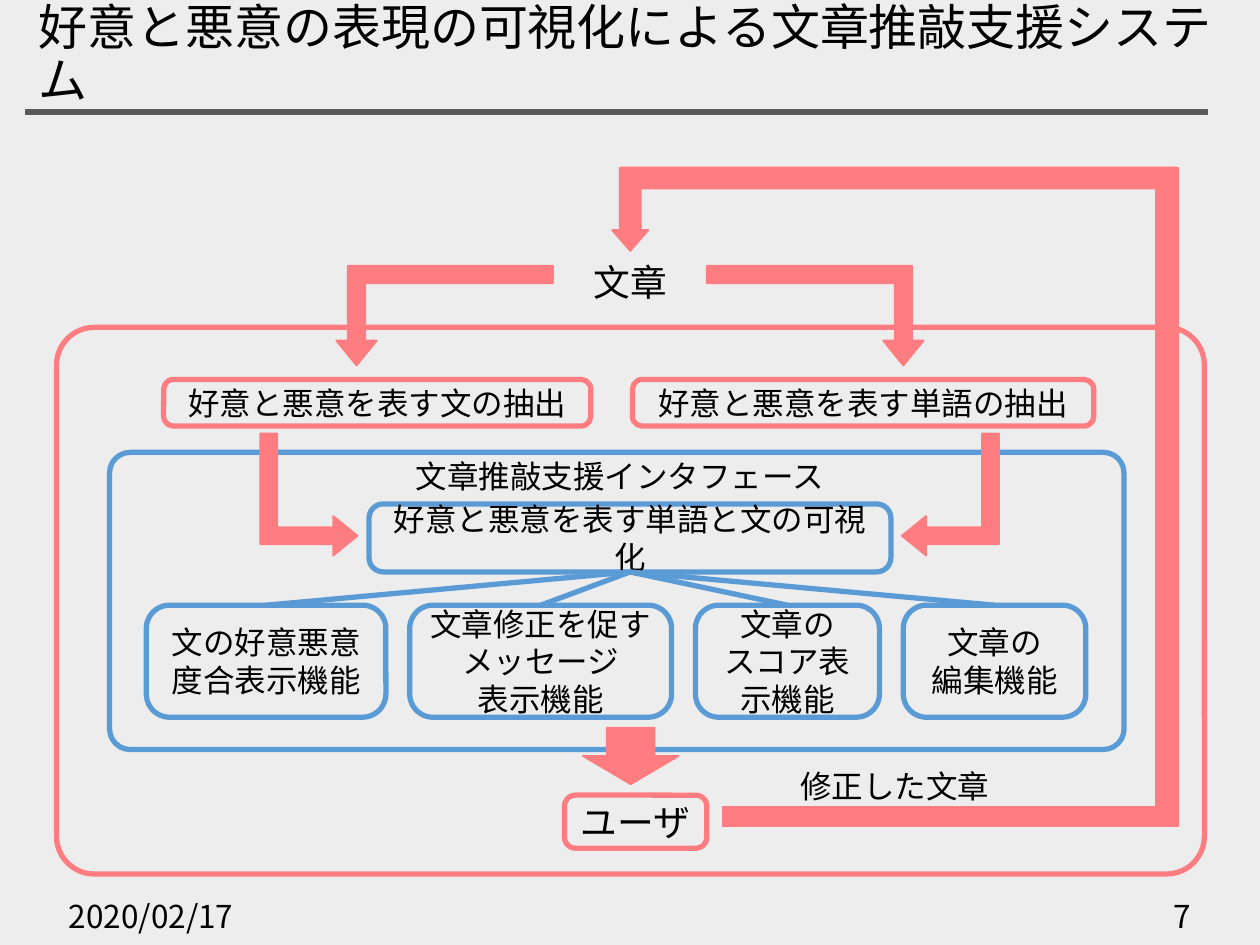
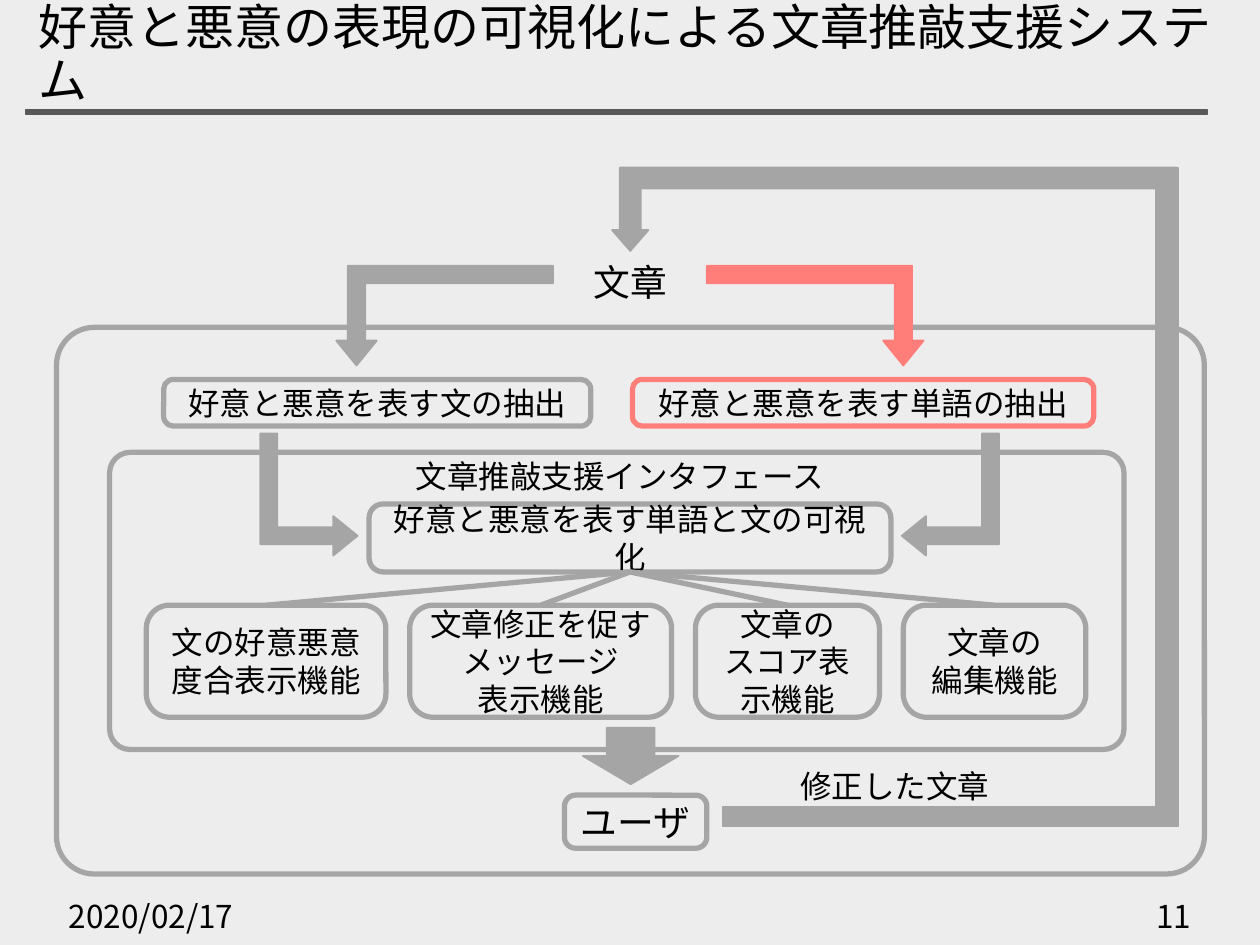
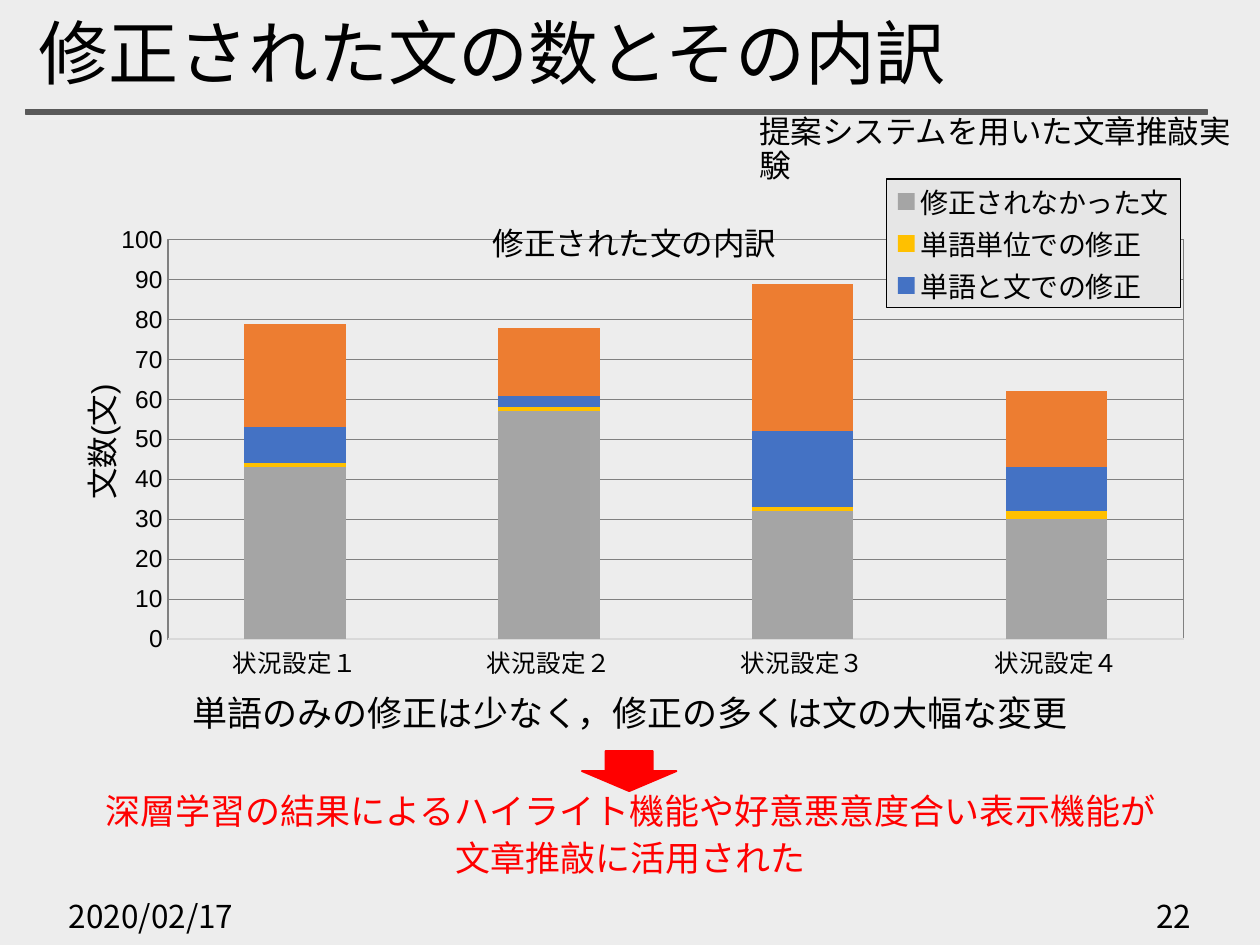
from lxml import etree
from pptx import Presentation
from pptx.chart.data import CategoryChartData
from pptx.dml.color import RGBColor
from pptx.enum.chart import XL_CHART_TYPE, XL_LEGEND_POSITION, XL_TICK_MARK
from pptx.enum.shapes import MSO_CONNECTOR, MSO_SHAPE
from pptx.enum.text import MSO_ANCHOR, PP_ALIGN
from pptx.oxml import parse_xml
from pptx.oxml.ns import nsdecls, qn
from pptx.util import Cm, Pt

LEFT, CENTER, RIGHT = PP_ALIGN.LEFT, PP_ALIGN.CENTER, PP_ALIGN.RIGHT
TOP, MIDDLE = MSO_ANCHOR.TOP, MSO_ANCHOR.MIDDLE
ROUNDED, BENT = MSO_SHAPE.ROUNDED_RECTANGLE, MSO_SHAPE.BENT_UP_ARROW
DOWN, CORNER = MSO_SHAPE.DOWN_ARROW, MSO_SHAPE.CORNER
RECTANGLE = MSO_SHAPE.RECTANGLE
NO_TICK = XL_TICK_MARK.NONE

# Shared look
ARIAL, JAPANESE = "Arial", "Noto Sans CJK JP"
PAGE_FILL, RULE, TEXT, RED = "EDEDED", "595959", "000000", "FF0000"
PINK, CORAL, BLUE, GREY = "FF7C80", "FF7E79", "5B9BD5", "A5A5A5"
DATE = "2020/02/17"

# System diagram: each part takes its colour from a role in the palette
SYSTEM_TITLE = "好意と悪意の表現の可視化による文章推敲支援システム"
SYSTEM_PAGES = [
    ("7", {"flow": PINK, "words": PINK, "interface": BLUE}),
    ("11", {"flow": GREY, "words": CORAL, "interface": GREY}),
]
FRAMES = [  # role, position
    ("flow", (1.14, 6.6, 23.14, 11.02)),
    ("interface", (2.21, 9.12, 20.45, 5.99)),
]
STEPS = [  # role, position, text, size
    ("words", (12.75, 7.65, 9.3, 0.94), "好意と悪意を表す単語の抽出", 18),
    ("flow", (3.3, 7.65, 8.61, 0.94), "好意と悪意を表す文の抽出", 18),
    ("flow", (11.38, 16.03, 2.87, 1.07), "ユーザ", 21),
]
VISUALIZATION = ((7.44, 10.16, 10.52, 1.37), "好意と悪意を表す単語と文の可視化")
FUNCTIONS = [  # width, lines
    (4.83, ["文の好意悪意度合表示機能"]),
    (5.28, ["文章修正を促すメッセージ", "表示機能"]),
    (3.71, ["文章の", "スコア表示機能"]),
    (3.68, ["文章の", "編集機能"]),
]
FUNCTION_LEFT, FUNCTION_TOP, FUNCTION_HEIGHT, FUNCTION_GAP = 2.95, 12.2, 2.26, 0.48
LABELS = [  # position, text, size, alignment
    ((11.61, 5.11, 2.21, 1.24), "文章", 21, CENTER),
    ((7.39, 9.09, 10.21, 1.09), "文章推敲支援インタフェース", 18, CENTER),
    ((15.88, 15.34, 6.55, 1.02), "修正した文章", 18, LEFT),
]
BEND, RETURN_BEND = (0.175, 0.203, 0.25), (0.25, 0.218, 0.25)
ARROWS = [  # role, preset, position, adjustments, flips, rotation
    ("flow", DOWN, (11.75, 14.67, 1.93, 1.14), (), "", 0),
    ("flow", BENT, (6.78, 5.36, 4.37, 2.01), BEND, "HV", 0),
    ("words", BENT, (14.25, 5.36, 4.37, 2.01), BEND, "V", 0),
    ("flow", BENT, (5.0, 8.99, 2.46, 1.96), BEND, "HV", 270),
    ("flow", BENT, (17.93, 8.99, 2.46, 1.96), BEND, "V", 90),
    ("flow", CORNER, (14.58, 3.38, 9.17, 13.28), (0.043, 0.049), "H", 0),
    ("flow", BENT, (12.34, 3.38, 11.38, 1.68), RETURN_BEND, "HV", 0),
]

# Results
RESULT_TITLE = "修正された文の数とその内訳"
EXPERIMENT = "提案システムを用いた文章推敲実験"
FINDING = "単語のみの修正は少なく，修正の多くは文の大幅な変更"
CONCLUSION = ["深層学習の結果によるハイライト機能や好意悪意度合い表示機能が",
              "文章推敲に活用された"]
CHART_TITLE, AXIS_TITLE = "修正された文の内訳", "文数(文)"
SITUATIONS = ["状況設定１", "状況設定２", "状況設定３", "状況設定４"]
SERIES = [
    ("修正されなかった文", (43, 57, 32, 30), GREY),
    ("単語単位での修正", (1, 1, 1, 2), "FFC000"),
    ("単語と文での修正", (9, 3, 19, 11), "4472C4"),
    ("文単位での修正", (26, 17, 37, 19), "ED7D31"),
]
HIDDEN_LEGEND_ENTRY = 3


def color(value):
    return RGBColor.from_string(value)


def lengths(position):
    return [Cm(value) for value in position]


def style_font(font, size, name=ARIAL, ink=TEXT):
    font.size, font.name, font.bold = Pt(size), name, False
    font.color.rgb = color(ink)
    etree.SubElement(font._element, qn("a:ea"), typeface=JAPANESE)


def write(shape, lines, size, name=ARIAL, ink=TEXT, align=CENTER, anchor=MIDDLE,
          spacing=None, before=None):
    frame = shape.text_frame
    frame.word_wrap = True
    frame.vertical_anchor = anchor
    for index, line in enumerate(lines):
        para = frame.add_paragraph() if index else frame.paragraphs[0]
        para.text = line
        para.alignment = align
        para.line_spacing = spacing
        if before:
            para.space_before = Pt(before)
        style_font(para.font, size, name, ink)


def add_text(page, position, lines, size, **options):
    write(page.shapes.add_textbox(*lengths(position)), lines, size, **options)


def add_solid(page, preset, position, ink, adjustments=(), flips="", rotation=0):
    shape = page.shapes.add_shape(preset, *lengths(position))
    shape.shadow.inherit = False
    shape.fill.solid()
    shape.fill.fore_color.rgb = color(ink)
    shape.line.color.rgb = color(ink)
    shape.line.width = Pt(1)
    shape.rotation = rotation
    for index, value in enumerate(adjustments):
        shape.adjustments[index] = value
    for axis in flips:
        shape._element.spPr.xfrm.set("flip" + axis, "1")


def add_outline(page, position, ink, radius=0.208):
    box = page.shapes.add_shape(ROUNDED, *lengths(position))
    box.shadow.inherit = False
    box.adjustments[0] = radius
    box.fill.background()
    box.line.color.rgb = color(ink)
    box.line.width = Pt(3)
    return box


def add_link(page, upper, lower, ink):
    link = page.shapes.add_connector(MSO_CONNECTOR.STRAIGHT, 0, 0, 0, 0)
    link.begin_connect(upper, 2)
    link.end_connect(lower, 0)
    link.line.color.rgb = color(ink)
    link.line.width = Pt(3)
    etree.SubElement(link._element.spPr, qn("a:effectLst"))


def add_page(deck, title, title_size, number):
    page = deck.slides.add_slide(deck.slide_layouts[6])
    page.background.fill.solid()
    page.background.fill.fore_color.rgb = color(PAGE_FILL)
    add_solid(page, RECTANGLE, (0.53, 2.21, 23.8, 0.1), RULE)
    add_text(page, (0.53, 0.38, 24.87, 1.52), [title], title_size,
             name=JAPANESE, align=LEFT, spacing=0.9)
    for left, text, align in ((1.14, DATE, LEFT), (18.54, number, RIGHT)):
        add_text(page, (left, 17.96, 5.72, 1.02), [text], 18,
                 name=JAPANESE, align=align)
    return page


def build_system(deck, number, palette):
    page = add_page(deck, SYSTEM_TITLE, 28, number)
    for role, position in FRAMES:
        add_outline(page, position, palette[role], 0.069)
    for role, position, text, size in STEPS:
        write(add_outline(page, position, palette[role]), [text], size)
    for position, text, size, align in LABELS:
        add_text(page, position, [text], size, align=align, anchor=TOP)

    # Visualization and the functions hanging from it
    ink = palette["interface"]
    position, text = VISUALIZATION
    visualization = add_outline(page, position, ink)
    write(visualization, [text], 18)
    left = FUNCTION_LEFT
    for width, lines in FUNCTIONS:
        box = add_outline(page, (left, FUNCTION_TOP, width, FUNCTION_HEIGHT), ink)
        write(box, lines, 18)
        add_link(page, visualization, box, ink)
        left += width + FUNCTION_GAP

    for role, preset, position, adjustments, flips, rotation in ARROWS:
        add_solid(page, preset, position, palette[role], adjustments, flips, rotation)


def place(element, **sides):
    """Give a chart part a manual layout in fractions of the chart."""
    old = element.find(qn("c:layout"))
    if old is not None:
        element.remove(old)
    layout = etree.Element(qn("c:layout"))
    manual = etree.SubElement(layout, qn("c:manualLayout"))
    if element.tag == qn("c:plotArea"):
        etree.SubElement(manual, qn("c:layoutTarget"), val="inner")
    for side in "xy":
        etree.SubElement(manual, qn(f"c:{side}Mode"), val="edge")
    for side, value in sides.items():
        etree.SubElement(manual, qn(f"c:{side}"), val=str(value))
    overlay = element.find(qn("c:overlay"))
    if overlay is None:
        element.insert(0, layout)
    else:
        overlay.addprevious(layout)


def frame_properties(fill, line):
    return parse_xml(
        f'<c:spPr {nsdecls("c", "a")}>{fill}<a:ln w="9525"><a:solidFill>'
        f'<a:srgbClr val="{line}"/></a:solidFill></a:ln></c:spPr>')


def write_chart_title(title, text, x, y):
    para = title.text_frame.paragraphs[0]
    span = para.add_run()
    span.text = text
    style_font(span.font, 18)
    place(title._element, x=x, y=y)


def add_result_chart(page):
    data = CategoryChartData()
    data.categories = SITUATIONS
    for name, values, _ in SERIES:
        data.add_series(name, values)
    chart = page.shapes.add_chart(XL_CHART_TYPE.COLUMN_STACKED,
                                  *lengths((1.14, 3.58, 23.14, 10.54)), data).chart
    style_font(chart.font, 10)

    # Columns
    plot = chart.plots[0]
    plot.gap_width, plot.overlap, plot.vary_by_categories = 150, 100, False
    for series, (_, _, ink) in zip(plot.series, SERIES):
        series.format.fill.solid()
        series.format.fill.fore_color.rgb = color(ink)

    # Axes
    category, value = chart.category_axis, chart.value_axis
    for axis in (category, value):
        axis.major_tick_mark = axis.minor_tick_mark = NO_TICK
        style_font(axis.tick_labels.font, 14)
    category.format.line.color.rgb = color("D9D9D9")
    category.format.line.width = Pt(0.75)
    value.format.line.fill.background()
    value.minimum_scale, value.maximum_scale, value.major_unit = 0, 100, 10
    value.major_gridlines.format.line.color.rgb = color("808080")
    value.major_gridlines.format.line.width = Pt(0.75)

    # Titles
    write_chart_title(chart.chart_title, CHART_TITLE, 0.375, 0.06)
    write_chart_title(value.axis_title, AXIS_TITLE, 0.01, 0.385)
    value.axis_title.text_frame._txBody.bodyPr.set("rot", "-5400000")
    value.axis_title.text_frame._txBody.bodyPr.set("vert", "horz")

    # Legend without the last series
    chart.has_legend = True
    legend = chart.legend
    legend.position = XL_LEGEND_POSITION.BOTTOM
    legend.include_in_layout = False
    style_font(legend.font, 16)
    entry = etree.Element(qn("c:legendEntry"))
    etree.SubElement(entry, qn("c:idx"), val=str(HIDDEN_LEGEND_ENTRY))
    etree.SubElement(entry, qn("c:delete"), val="1")
    legend._element.find(qn("c:legendPos")).addnext(entry)
    place(legend._element, x=0.723, y=0.003, w=0.256, h=0.246)
    fill = '<a:solidFill><a:srgbClr val="E6E6E6"/></a:solidFill>'
    legend._element.find(qn("c:overlay")).addnext(frame_properties(fill, TEXT))

    # Plot area
    area = chart._chartSpace.chart.plotArea
    place(area, x=0.097, y=0.119, w=0.885, h=0.764)
    area.append(frame_properties("<a:noFill/>", "808080"))


def build_results(deck):
    page = add_page(deck, RESULT_TITLE, 40, "22")
    body = {"name": JAPANESE, "anchor": TOP, "before": 7.5}
    add_text(page, (15.06, 2.21, 10.34, 0.76), [EXPERIMENT], 18,
             align=LEFT, spacing=0.9, **body)
    add_result_chart(page)
    add_text(page, (1.14, 13.97, 23.14, 1.02), [FINDING], 20, spacing=0.8, **body)
    add_text(page, (1.14, 15.95, 23.14, 2.01), CONCLUSION, 20,
             ink=RED, spacing=0.8, **body)
    add_solid(page, DOWN, (11.73, 15.14, 1.91, 0.81), RED)


def main():
    deck = Presentation()
    deck.slide_width, deck.slide_height = Cm(25.4), Cm(19.05)
    for number, palette in SYSTEM_PAGES:
        build_system(deck, number, palette)
    build_results(deck)
    deck.save("out.pptx")


if __name__ == "__main__":
    main()
